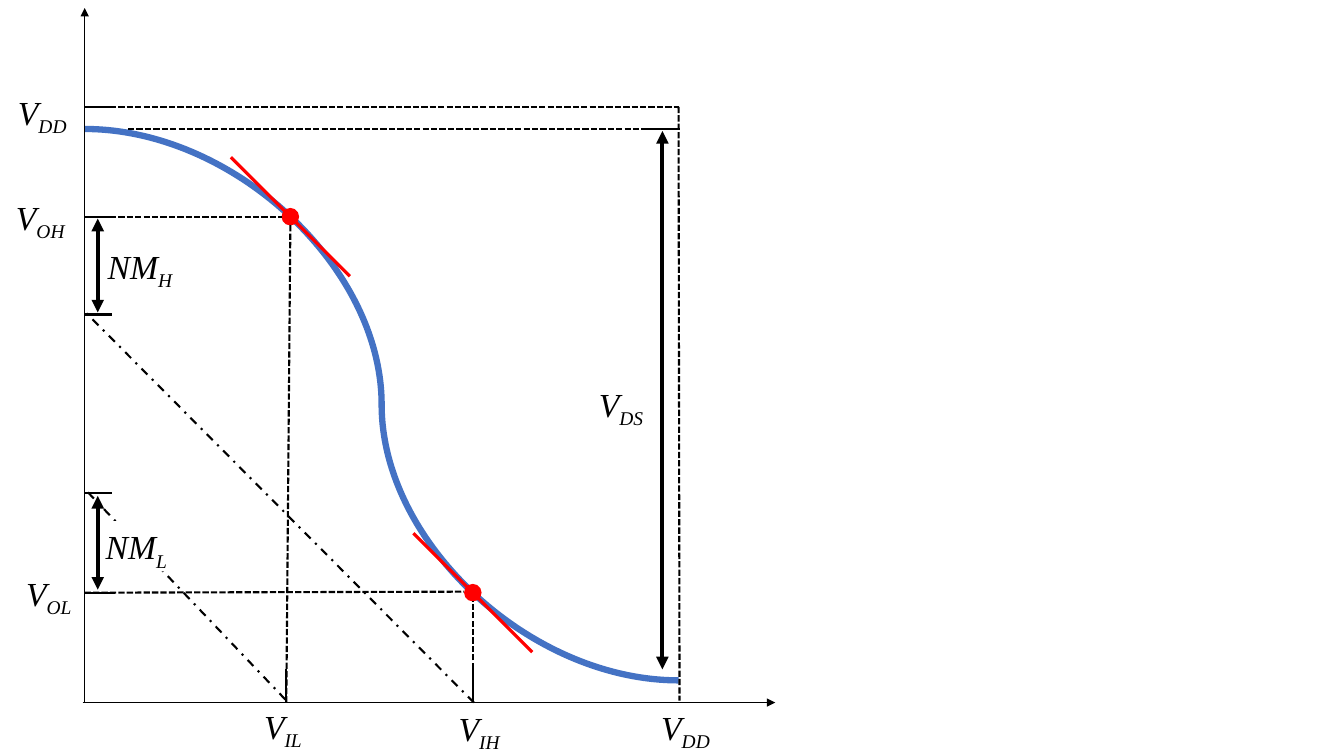
from lxml import etree
from pptx import Presentation
from pptx.dml.color import RGBColor
from pptx.enum.dml import MSO_LINE
from pptx.enum.shapes import MSO_CONNECTOR as CONN, MSO_SHAPE as SHAPE
from pptx.enum.text import MSO_AUTO_SIZE as AUTO
from pptx.oxml.ns import qn
from pptx.util import Inches, Pt

BLACK, RED, BLUE, WHITE = "000000", "FF0000", "4472C4", "FFFFFF"
SHORT, DASH_DOT = MSO_LINE.SQUARE_DOT, MSO_LINE.DASH_DOT
V_DD, V_PEAK, V_OH, V_OL, V_LOW = 5.91, 5.69, 4.82, 1.09, 0.22
V_IL, V_IH, V_END = 2.0, 3.85, 5.89
X_IL = 2.04


def rgb(value):
    """Turn a hex string into a colour."""
    return RGBColor.from_string(value)


def add_line(slide, box, start, end, width=1.5, color=BLACK, dash=None,
             arrows=(), kind=CONN.STRAIGHT):
    """Connect two points given as offsets right of and above the origin."""
    left, base = box[0], box[1] + box[3]
    sp = slide.shapes.add_connector(
        kind, Inches(left + start[0]), Inches(base - start[1]),
        Inches(left + end[0]), Inches(base - end[1]))
    sp.line.color.rgb = rgb(color)
    sp.line.width = Pt(width)
    if dash:
        sp.line.dash_style = dash
    ln = sp.line._get_or_add_ln()
    for tag in arrows:
        etree.SubElement(ln, qn(tag)).set("type", "triangle")
    etree.SubElement(sp._element.spPr, qn("a:effectLst"))


def add_label(slide, box, x, top, width, name, sub, fill=None):
    """Write an italic symbol with a subscript, x and top measured from the box."""
    sp = slide.shapes.add_textbox(Inches(box[0] + x), Inches(box[1] + top),
                                  Inches(width), Inches(0.5))
    if fill:
        sp.fill.solid()
        sp.fill.fore_color.rgb = rgb(fill)
    tf = sp.text_frame
    tf.word_wrap = False
    tf.auto_size = AUTO.SHAPE_TO_FIT_TEXT
    p = tf.paragraphs[0]
    p.font.size, p.font.name, p.font.italic = Pt(24), "Times New Roman", True
    p.font.color.rgb = rgb(BLACK)
    for text in (name, sub):
        r = p.add_run()
        r.text = text
        r.font.size, r.font.name, r.font.italic = Pt(24), "Times New Roman", True
        r.font.color.rgb = rgb(BLACK)
    r._r.get_or_add_rPr().set("baseline", "-25000")


def draw_curve(slide, box):
    """Draw the transfer curve with its two unity-gain points and tangents."""
    add_line(slide, box, (0, V_PEAK), (V_END, V_LOW), 4.5, BLUE, kind=CONN.CURVE)
    size, reach = 0.16, 0.59
    for x, y in ((V_IH, V_OL), (X_IL, V_OH)):
        sp = slide.shapes.add_shape(
            SHAPE.OVAL, Inches(box[0] + x - size / 2),
            Inches(box[1] + box[3] - y - size / 2), Inches(size), Inches(size))
        sp.shadow.inherit = False
        sp.fill.solid()
        sp.fill.fore_color.rgb = sp.line.color.rgb = rgb(RED)
        sp.line.width = Pt(1)
        add_line(slide, box, (x - reach, y + reach), (x + reach, y - reach), 2.25, RED)


def draw_axes(slide, box):
    """Draw both axes along the left and bottom edges of the box."""
    for start, end in (((0, 0), (0, box[3])), ((-0.02, 0), (box[2], 0))):
        add_line(slide, box, start, end, 1, arrows=["a:tailEnd"])


def draw_guides(slide, box):
    """Draw the dashed guides, the mirror diagonals and the solid ticks."""
    for start, end in (((V_IH, 0), (V_IH, 1.01)), ((V_IL, 0), (X_IL, 4.74)),
                       ((0, V_OL), (3.76, 1.1)), ((0, V_OH), (1.96, V_OH)),
                       ((0, V_DD), (V_END, V_DD)), ((V_END, V_DD), (5.9, 0.02)),
                       ((0.43, V_PEAK), (5.9, V_PEAK))):
        add_line(slide, box, start, end, dash=SHORT)
    for start, end in (((3.86, 0), (0, 3.88)), ((1.99, 0.03), (0, 2.12))):
        add_line(slide, box, start, end, dash=DASH_DOT)
    for x in (V_IL, V_IH):
        add_line(slide, box, (x, 0), (x, 0.33))
    for x, y, length in ((0, V_OL, 0.3), (0, V_OH, 0.3), (0, V_DD, 0.3),
                         (0, 2.08, 0.27), (0, 3.85, 0.27), (5.59, V_PEAK, 0.27)):
        add_line(slide, box, (x, y), (x + length, y))


def draw_labels(slide, box):
    """Place the voltage and noise-margin symbols around the plot."""
    for label in ((0.13, 2.31, 0.87, "NM", "H"), (0.11, 5.09, 0.83, "NM", "L", WHITE),
                  (1.68, 6.87, 0.61, "V", "IL"), (3.61, 6.89, 0.64, "V", "IH"),
                  (5.62, 6.88, 0.73, "V", "DD"), (-0.68, 5.55, 0.68, "V", "OL"),
                  (-0.78, 1.82, 0.72, "V", "OH"), (-0.76, 0.78, 0.73, "V", "DD"),
                  (5, 3.68, 0.68, "V", "DS")):
        add_label(slide, box, *label)


def draw_spans(slide, box):
    """Draw the double-headed arrows for the margins and the swing."""
    for x, high, low in ((0.13, 4.8, 3.87), (0.13, 2.05, 1.12), (5.73, 5.67, 0.33)):
        add_line(slide, box, (x, high), (x, low), 3, arrows=["a:headEnd", "a:tailEnd"])


def main():
    """Build the inverter transfer characteristic slide."""
    prs = Presentation()
    prs.slide_width, prs.slide_height = Inches(13.33), Inches(7.5)
    slide = prs.slides.add_slide(prs.slide_layouts[6])
    box = (0.84, 0.08, 6.85, 6.89)
    for draw in (draw_curve, draw_axes, draw_guides, draw_labels, draw_spans):
        draw(slide, box)
    prs.save("out.pptx")


if __name__ == "__main__":
    main()
